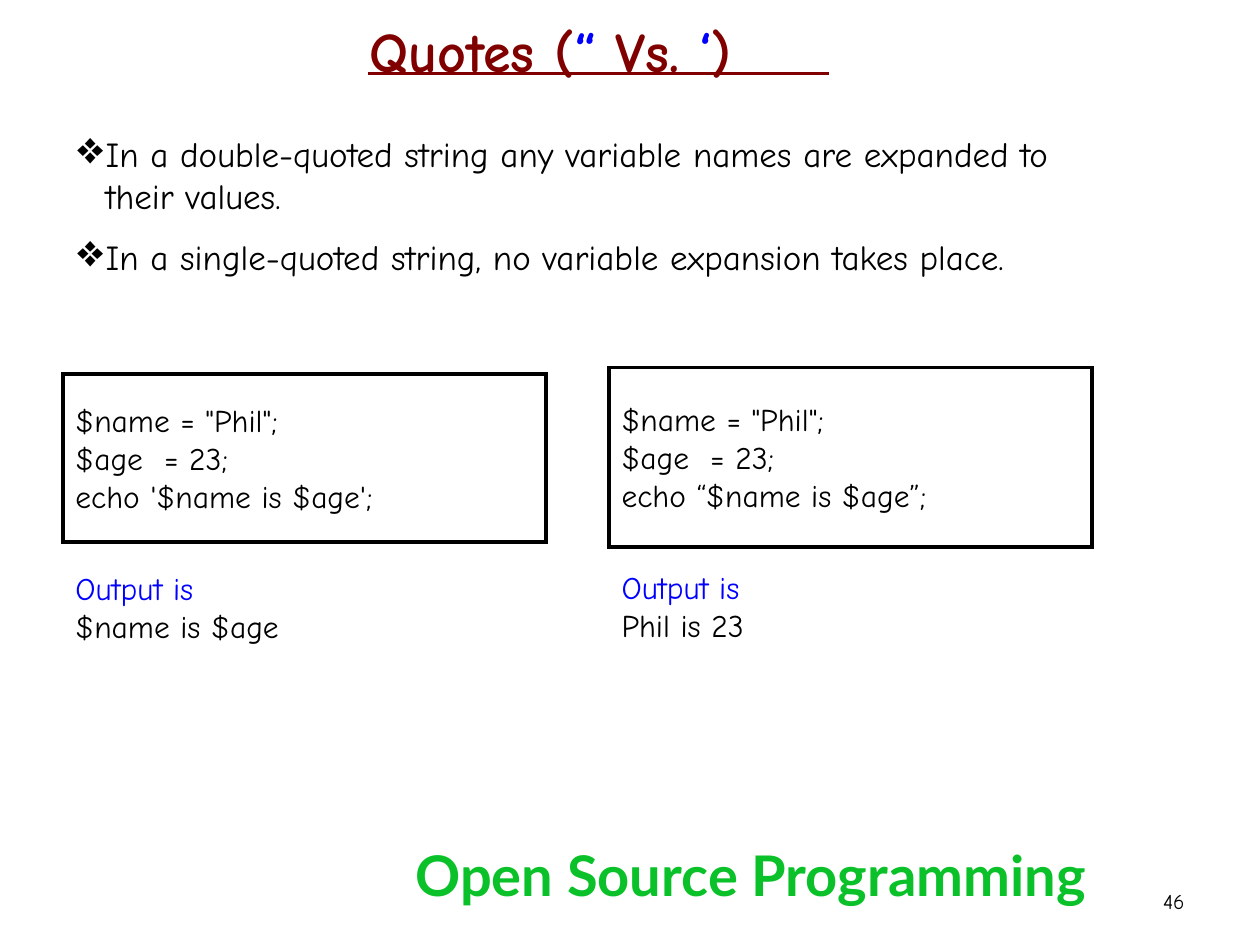
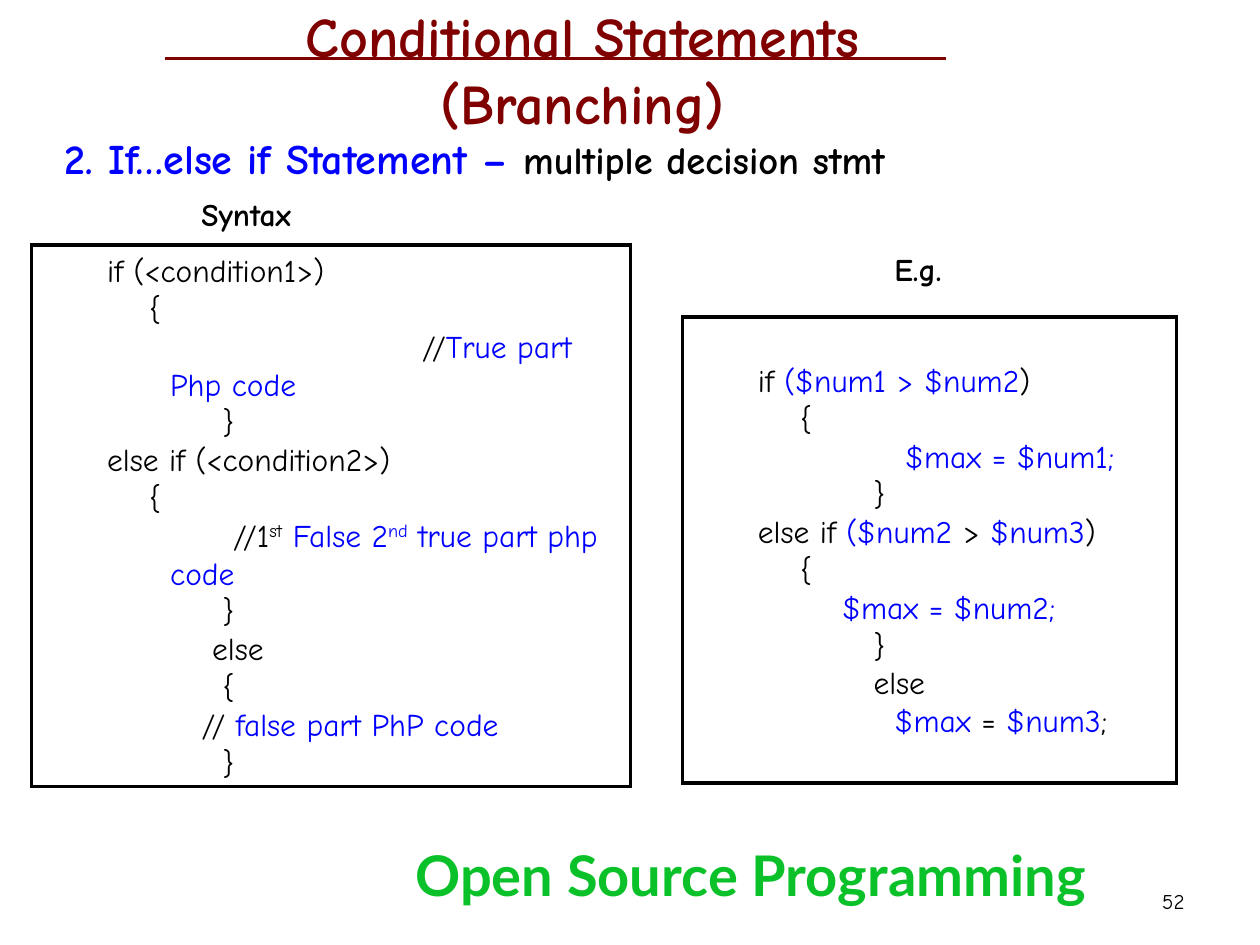
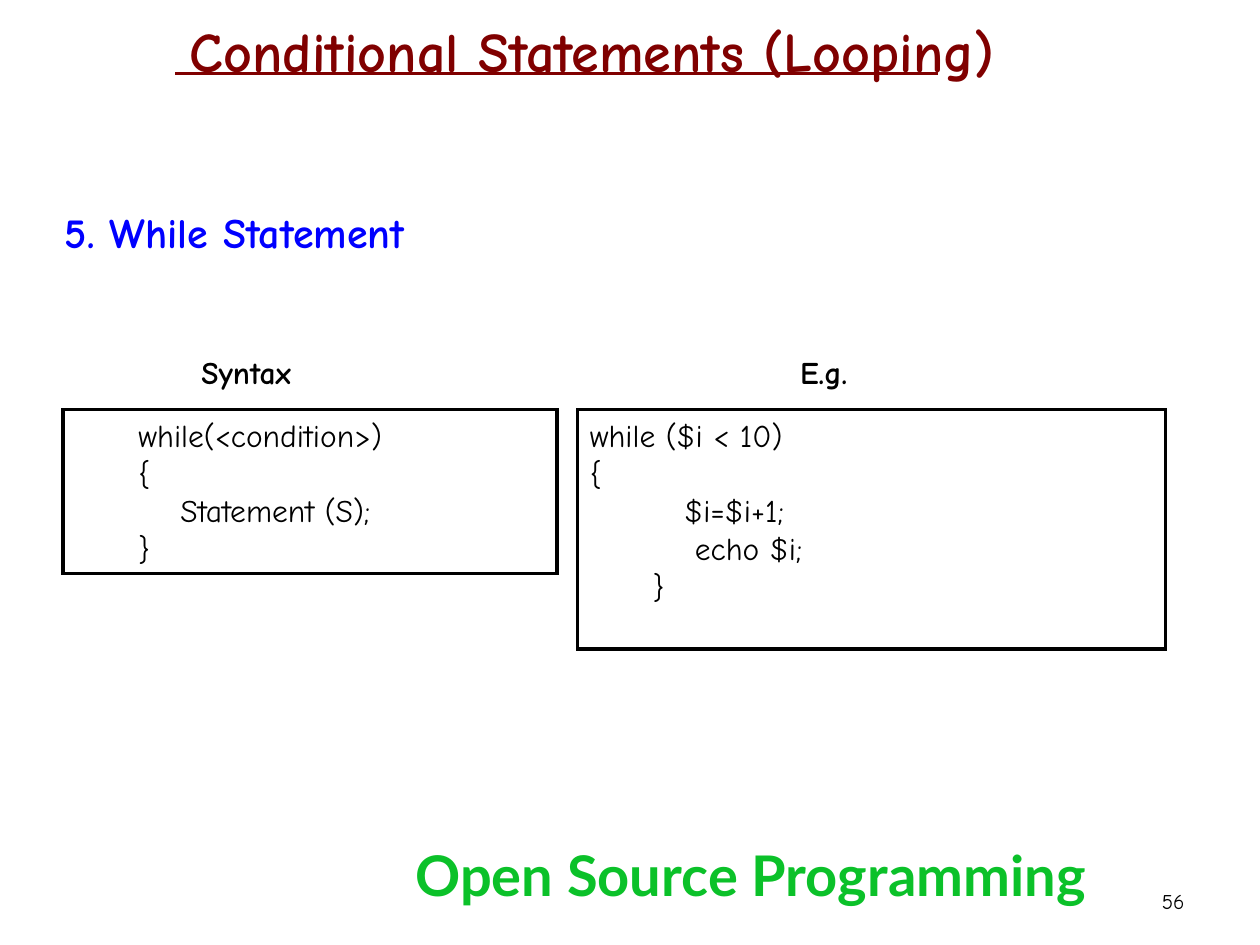
from lxml.etree import SubElement
from pptx import Presentation
from pptx.dml.color import RGBColor
from pptx.enum.shapes import MSO_CONNECTOR, MSO_SHAPE
from pptx.enum.text import MSO_ANCHOR, PP_ALIGN
from pptx.oxml.ns import qn
from pptx.util import Cm, Pt

COLORS = {"ink": "000000", "maroon": "800000", "blue": "0000FF", "green": "0BC129"}
BODY_FONT = "Comic Neue"
FOOTER_FONT = "Lato"
INDENT = 1.27


def write(frame, lines, size, bold=False, color="ink", font=BODY_FONT, align=PP_ALIGN.LEFT):
    frame.word_wrap = True
    for index, (level, *pieces) in enumerate(lines):
        paragraph = frame.paragraphs[0] if index == 0 else frame.add_paragraph()
        paragraph.alignment = align
        properties = paragraph._p.get_or_add_pPr()
        properties.set("marL", str(Cm(INDENT * level)))
        properties.set("indent", "0")
        for piece in pieces:
            words, shade = piece if isinstance(piece, tuple) else (piece, color)
            run = paragraph.add_run()
            run.text = words
            run.font.name = font
            run.font.size = Pt(size)
            run.font.bold = bold
            run.font.color.rgb = RGBColor.from_string(COLORS[shade])
    return frame


def add_code(slide, box, lines, border=2, anchor=MSO_ANCHOR.TOP):
    panel = slide.shapes.add_shape(MSO_SHAPE.RECTANGLE, *map(Cm, box))
    panel.shadow.inherit = False
    panel.fill.background()
    panel.line.color.rgb = RGBColor.from_string(COLORS["ink"])
    panel.line.width = Pt(border)
    SubElement(panel.line._get_or_add_ln(), qn("a:miter")).set("lim", "800000")
    panel.text_frame.vertical_anchor = anchor
    return write(panel.text_frame, lines, 18)


deck = Presentation()
deck.slide_width = Cm(25.4)
deck.slide_height = Cm(19.05)

headers = [
    ("46", ["Quotes (", ("“ ", "blue"), "Vs. ", ("‘", "blue"), ")"],
     (7.2, 0.2, 10.36, 1.63), PP_ALIGN.LEFT, (7.42, 16.71, 1.48)),
    ("52", ["Conditional Statements (Branching)"],
     (2.96, -0.1, 17.58, 2.97), PP_ALIGN.CENTER, (3.33, 19.08, 1.18)),
    ("56", ["Conditional Statements (Looping)"],
     (3.37, 0.2, 17.15, 2.97), PP_ALIGN.CENTER, (3.53, 18.9, 1.48)),
]
slides = []
for number, title, title_box, title_align, (start, end, height) in headers:
    slide = deck.slides.add_slide(deck.slide_layouts[6])
    slides.append(slide)
    heading = slide.shapes.add_textbox(*map(Cm, title_box))
    write(heading.text_frame, [(0, *title)], 32, True, "maroon", align=title_align)
    underline = slide.shapes.add_connector(
        MSO_CONNECTOR.STRAIGHT, Cm(start), Cm(height), Cm(end), Cm(height))
    underline.line.color.rgb = RGBColor.from_string(COLORS["maroon"])
    underline.line.width = Pt(2)
    SubElement(underline._element.spPr, qn("a:effectLst"))
    course = slide.shapes.add_textbox(Cm(7.62), Cm(16.81), Cm(15.03), Cm(2.97))
    write(course.text_frame, [(0, "Open Source Programming")], 32, True, "green",
          FOOTER_FONT, PP_ALIGN.CENTER)
    page_number = slide.shapes.add_textbox(Cm(18.21), Cm(17.65), Cm(5.92), Cm(1.02))
    page_number.text_frame.vertical_anchor = MSO_ANCHOR.MIDDLE
    write(page_number.text_frame, [(0, number)], 12, align=PP_ALIGN.RIGHT)

quotes, branching, looping = slides

rules = write(quotes.shapes.add_textbox(Cm(1.27), Cm(2.54), Cm(21.16), Cm(3.18)).text_frame, [
    (0, "In a double-quoted string any variable names are expanded to their values."),
    (0, "In a single-quoted string, no variable expansion takes place."),
], 20)
for rule in rules.paragraphs:
    properties = rule._p.get_or_add_pPr()
    properties.set("marL", str(Cm(0.61)))
    properties.set("indent", str(-Cm(0.57)))
    SubElement(properties, qn("a:buSzPct")).set("val", "130000")
    SubElement(properties, qn("a:buChar")).set("char", "❖")
rules.paragraphs[1].space_before = Pt(10.8)

examples = [
    (1.27, 7.54, 3.38, "echo '$name is $age';", 11.35, "$name is $age"),
    (12.28, 7.41, 3.61, "echo “$name is $age”;", 11.33, "Phil is 23"),
]
for left, top, height, echo, output_top, output in examples:
    add_code(quotes, (left, top, 9.73, height),
             [(0, '$name = "Phil";'), (0, "$age  = 23;"), (0, echo)],
             2.25, MSO_ANCHOR.MIDDLE)
    result = quotes.shapes.add_textbox(Cm(left), Cm(output_top), Cm(9.53), Cm(1.78))
    write(result.text_frame, [(0, ("Output is", "blue")), (0, output)], 18)

labels = [
    (branching, "Syntax", 3.81, 3.81),
    (branching, "E.g.", 17.78, 4.92),
    (looping, "Syntax", 3.81, 6.99),
    (looping, "E.g.", 15.88, 6.99),
]
for slide, label, left, top in labels:
    caption = slide.shapes.add_textbox(Cm(left), Cm(top), Cm(4.65), Cm(1.02))
    write(caption.text_frame, [(0, label)], 18, True)

else_if = branching.shapes.add_textbox(Cm(1.06), Cm(2.54), Cm(20.52), Cm(2.69)).text_frame
write(else_if, [(0, ("2. If…else if Statement – ", "blue"), "multiple decision stmt")], 24, True)
else_if.paragraphs[0].runs[1].font.size = Pt(22)

syntax = add_code(branching, (0.64, 4.94, 12.07, 10.92), [
    (1, "if (<condition1>)"),
    (1, "    {"),
    (2, "//", ("True part Php code", "blue")),
    (2, "     }"),
    (1, "else if (<condition2>)"),
    (1, "    {"),
    (2, "      //1", "st", (" False 2", "blue"), ("nd", "blue"), (" true part php code", "blue")),
    (2, "     }"),
    (2, "    else"),
    (2, "     {"),
    (2, "   // ", ("false part PhP code", "blue")),
    (2, "     }"),
])
syntax.paragraphs[2]._p.get_or_add_pPr().set("indent", str(Cm(5.08)))
for ordinal in (1, 3):
    syntax.paragraphs[6].runs[ordinal]._r.get_or_add_rPr().set("baseline", "30000")

maximum = add_code(branching, (13.76, 6.39, 9.96, 9.4), [
    (1, "if ", ("($num1 > $num2", "blue"), ")"),
    (1, "    {"),
    (2, "        ", ("$max = $num1;", "blue")),
    (2, "     }"),
    (1, "else if ", ("($num2", "blue"), " > ", ("$num3", "blue"), ")"),
    (1, "    {"),
    (1, "        ", ("$max = $num2;", "blue")),
    (2, "     }"),
    (2, "     else"),
    (2, "       ", ("$max", "blue"), " = ", ("$num3", "blue"), ";"),
])
maximum.margin_top = Cm(0.89)

while_heading = looping.shapes.add_textbox(Cm(1.06), Cm(4.04), Cm(20.12), Cm(1.27))
write(while_heading.text_frame, [(0, "5. While Statement")], 24, True, "blue")
add_code(looping, (1.27, 8.26, 9.96, 3.3), [
    (1, "while(<condition>)"),
    (1, "{"),
    (1, "    Statement (S);"),
    (1, "}"),
])
add_code(looping, (11.64, 8.26, 11.86, 4.83), [
    (0, "while ($i < 10)"),
    (0, "{"),
    (1, "   $i=$i+1;"),
    (1, "    echo $i;"),
    (1, "}"),
])

deck.save("out.pptx")
